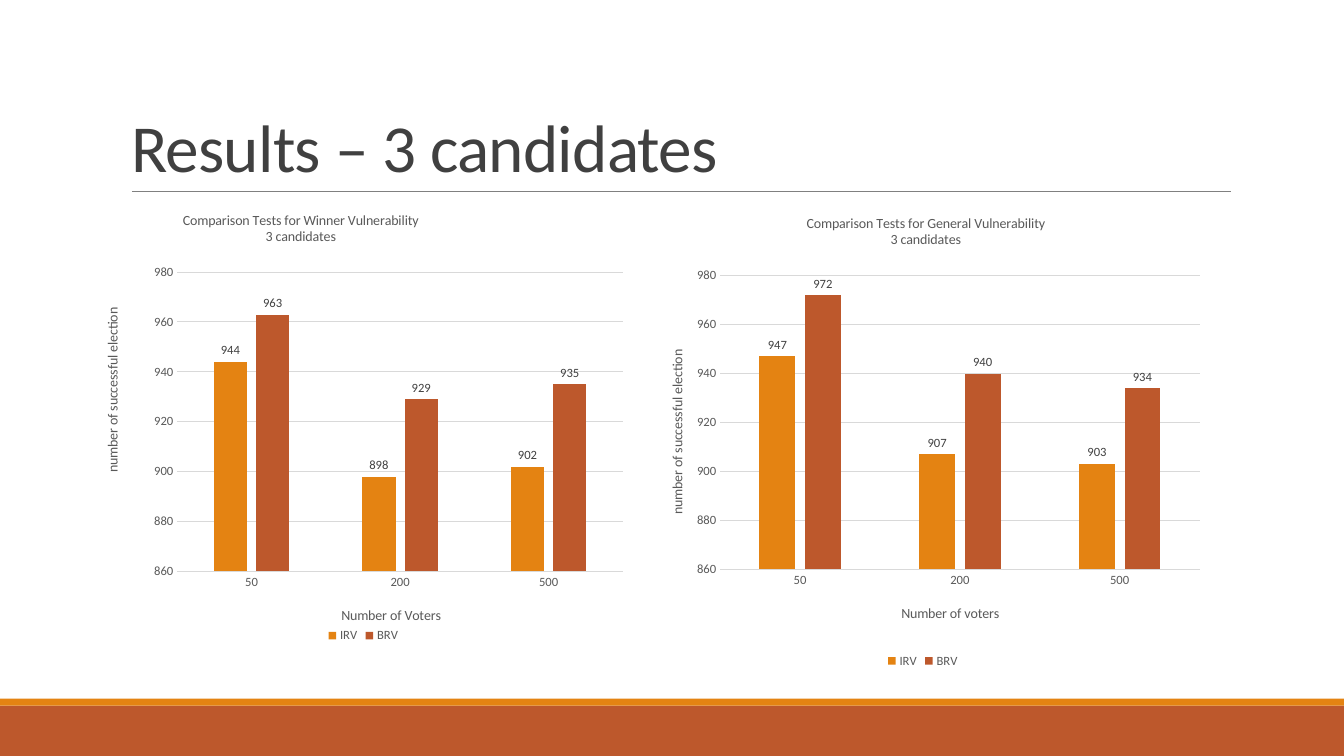
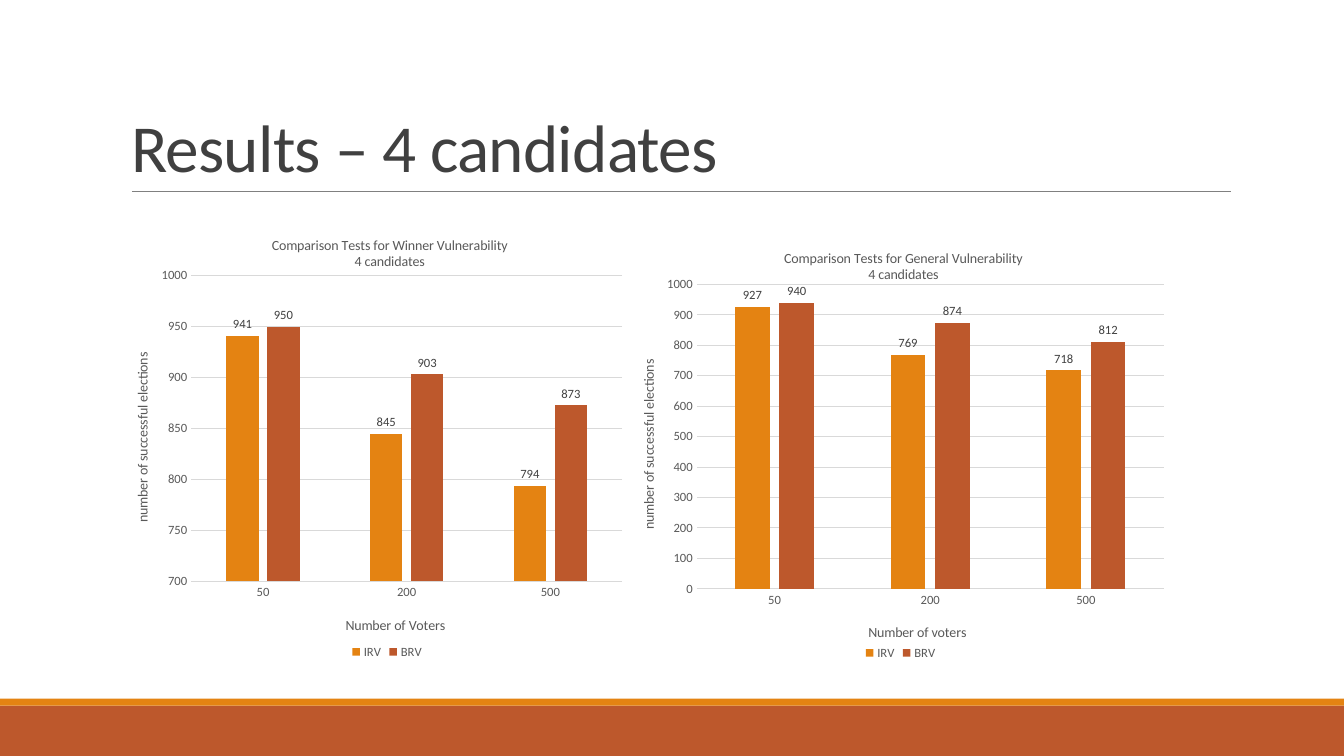
from dataclasses import dataclass

from lxml.etree import SubElement
from pptx import Presentation
from pptx.chart.data import CategoryChartData
from pptx.dml.color import RGBColor
from pptx.enum.chart import XL_CHART_TYPE, XL_LABEL_POSITION, XL_LEGEND_POSITION, XL_TICK_MARK
from pptx.enum.shapes import MSO_CONNECTOR, MSO_SHAPE
from pptx.enum.text import MSO_ANCHOR, MSO_AUTO_SIZE, PP_ALIGN
from pptx.oxml import parse_xml
from pptx.oxml.ns import nsdecls, qn
from pptx.util import Pt

ORANGE = RGBColor(0xE4, 0x83, 0x12)
RUST = RGBColor(0xBD, 0x58, 0x2C)
RULE_GRAY = RGBColor(0x80, 0x80, 0x80)
GRID_GRAY = RGBColor(0xD9, 0xD9, 0xD9)
TEXT_GRAY = RGBColor(0x59, 0x59, 0x59)
DARK_GRAY = RGBColor(0x40, 0x40, 0x40)
FONT = "Calibri"
WIDTH, HEIGHT = 960, 540
VOTERS = ("50", "200", "500")


@dataclass
class Comparison:
    """One chart: boxes and text corners in points, the plot as fractions of the box."""

    box: tuple
    plot: tuple
    topic: str
    voters_title: str
    elections_title: str
    title_at: tuple
    voters_at: tuple
    elections_at: tuple
    scale: tuple
    irv: tuple
    brv: tuple


RESULTS = {
    3: (
        Comparison(
            (52.56, 136.8, 414, 325.44), (0.179, 0.177, 0.769, 0.657), "Winner",
            "Number of Voters", "number of successful election",
            (128.5, 148.5), (242, 431), (72, 218), (860, 980, 20),
            (944, 898, 902), (963, 929, 935)),
        Comparison(
            (439.92, 136.8, 438.48, 343.44), (0.17, 0.175, 0.781, 0.611), "General",
            "Number of voters", "number of successful election",
            (574, 150.5), (642, 429.5), (475.5, 248), (860, 980, 20),
            (947, 907, 903), (972, 940, 934)),
    ),
    4: (
        Comparison(
            (86.4, 152.64, 380.16, 321.12), (0.132, 0.138, 0.81, 0.68), "Winner",
            "Number of Voters", "number of successful elections",
            (192, 166.5), (245, 438.5), (93.5, 250), (700, 1000, 50),
            (941, 845, 794), (950, 903, 873)),
        Comparison(
            (444.96, 162, 396.72, 312.48), (0.133, 0.132, 0.841, 0.696), "General",
            "Number of voters", "number of successful elections",
            (558, 175.5), (618.5, 443), (455, 255), (0, 1000, 100),
            (927, 769, 718), (940, 874, 812)),
    ),
}


def style_font(font, size, color):
    """Set the typeface, size and colour of a font."""
    font.name = FONT
    font.size = Pt(size)
    font.bold = False
    font.color.rgb = color


def add_span(para, text, size, color):
    """Add one styled run to a paragraph."""
    span = para.add_run()
    span.text = text
    style_font(span.font, size, color)
    return span


def set_layout(parent, index, fractions, inner=False):
    """Give a chart part a manual layout from x, y and optionally w, h."""
    for old in parent.findall(qn("c:layout")):
        parent.remove(old)
    layout = parse_xml(f"<c:layout {nsdecls('c')}/>")
    manual = SubElement(layout, qn("c:manualLayout"))
    settings = [("layoutTarget", "inner")] if inner else []
    settings += [("xMode", "edge"), ("yMode", "edge")]
    settings += zip("xywh", fractions)
    for name, value in settings:
        SubElement(manual, qn(f"c:{name}")).set("val", str(value))
    parent.insert(index, layout)


def write_title(title, lines, corner, box):
    """Write a chart or axis title with its top left at a slide position."""
    frame = title.text_frame
    for number, line in enumerate(lines):
        para = frame.add_paragraph() if number else frame.paragraphs[0]
        para.alignment = PP_ALIGN.CENTER
        add_span(para, line, 10, TEXT_GRAY)
    left, top, width, height = box
    x, y = corner
    set_layout(title.element, 1, (round((x - left) / width, 4), round((y - top) / height, 4)))


def style_axes(chart, comparison):
    """Format both axes, their titles and the grid."""
    for axis in (chart.category_axis, chart.value_axis):
        axis.major_tick_mark = axis.minor_tick_mark = XL_TICK_MARK.NONE
        style_font(axis.tick_labels.font, 9, TEXT_GRAY)
    voters, elections = chart.category_axis, chart.value_axis
    voters.format.line.color.rgb = GRID_GRAY
    voters.format.line.width = Pt(0.75)
    elections.format.line.fill.background()
    elections.minimum_scale, elections.maximum_scale, elections.major_unit = comparison.scale
    elections.has_major_gridlines = True
    grid = elections.major_gridlines.format.line
    grid.color.rgb = GRID_GRAY
    grid.width = Pt(0.75)
    write_title(voters.axis_title, [comparison.voters_title], comparison.voters_at, comparison.box)
    write_title(elections.axis_title, [comparison.elections_title],
                comparison.elections_at, comparison.box)
    body = elections.axis_title.element.find(f".//{qn('a:bodyPr')}")
    body.set("rot", "-5400000")
    body.set("vert", "horz")


def style_columns(plot):
    """Colour and label the columns."""
    plot.gap_width = 219
    plot.overlap = -27
    plot.vary_by_categories = False
    for series, color in zip(plot.series, (ORANGE, RUST)):
        series.format.fill.solid()
        series.format.fill.fore_color.rgb = color
        labels = series.data_labels
        labels.show_value = True
        labels.position = XL_LABEL_POSITION.OUTSIDE_END
        style_font(labels.font, 9, DARK_GRAY)


def add_comparison(page, comparison, candidates):
    """Add one clustered column chart in its box."""
    data = CategoryChartData()
    data.categories = VOTERS
    data.add_series("IRV", comparison.irv)
    data.add_series("BRV", comparison.brv)
    chart = page.shapes.add_chart(
        XL_CHART_TYPE.COLUMN_CLUSTERED, *map(Pt, comparison.box), data).chart
    style_font(chart.font, 10, TEXT_GRAY)
    heading = [f"Comparison Tests for {comparison.topic} Vulnerability",
               f"{candidates} candidates"]
    chart.has_title = True
    write_title(chart.chart_title, heading, comparison.title_at, comparison.box)
    chart.has_legend = True
    chart.legend.position = XL_LEGEND_POSITION.BOTTOM
    chart.legend.include_in_layout = False
    style_font(chart.legend.font, 9, TEXT_GRAY)
    style_axes(chart, comparison)
    style_columns(chart.plots[0])
    set_layout(chart.element.find(f".//{qn('c:plotArea')}"), 0, comparison.plot, inner=True)


def add_band(page, top, height, color):
    """Add a full-width band and return it."""
    band = page.shapes.add_shape(MSO_SHAPE.RECTANGLE, 0, Pt(top), Pt(WIDTH), Pt(height))
    band.shadow.inherit = False
    band.fill.solid()
    band.fill.fore_color.rgb = color
    band.line.fill.background()
    return band


def add_rule(page, left, right, top):
    """Add the thin rule under the title and return it."""
    rule = page.shapes.add_connector(
        MSO_CONNECTOR.STRAIGHT, Pt(left), Pt(top), Pt(right), Pt(top))
    rule.line.color.rgb = RULE_GRAY
    rule.line.width = Pt(0.5)
    SubElement(rule.element.spPr, qn("a:effectLst"))
    return rule


def prepare_layout(layout, page):
    """Place the title on the layout and move the shared bands and rule there."""
    for holder in list(layout.placeholders):
        if holder.placeholder_format.idx:
            holder.element.getparent().remove(holder.element)
    title = layout.placeholders[0]
    title.left, title.top, title.width, title.height = map(Pt, (86.4, 22.32, 792, 114.48))
    parts = (add_band(page, 504, 36, RUST), add_band(page, 499, 5, ORANGE),
             add_rule(page, 94.3, 879.1, 136.8))
    for index, part in enumerate(parts, start=2):
        layout.shapes.element.insert(index, part.element)


def write_page_title(page, text):
    """Fill the title placeholder."""
    frame = page.shapes.title.text_frame
    frame.auto_size = MSO_AUTO_SIZE.NONE
    frame.vertical_anchor = MSO_ANCHOR.BOTTOM
    para = frame.paragraphs[0]
    para.alignment = PP_ALIGN.LEFT
    para.line_spacing = 0.85
    span = add_span(para, text, 48, DARK_GRAY)
    span.font.element.set("spc", "-50") if hasattr(span.font, "element") else \
        para.runs[0].font._element.set("spc", "-50")


def build_deck():
    """Build and save the results deck."""
    deck = Presentation()
    deck.slide_width, deck.slide_height = Pt(WIDTH), Pt(HEIGHT)
    layout = deck.slide_layouts[5]
    for candidates, comparisons in RESULTS.items():
        page = deck.slides.add_slide(layout)
        if len(deck.slides) == 1:
            prepare_layout(layout, page)
        write_page_title(page, f"Results – {candidates} candidates")
        for comparison in comparisons:
            add_comparison(page, comparison, candidates)
    deck.save("out.pptx")


build_deck()
